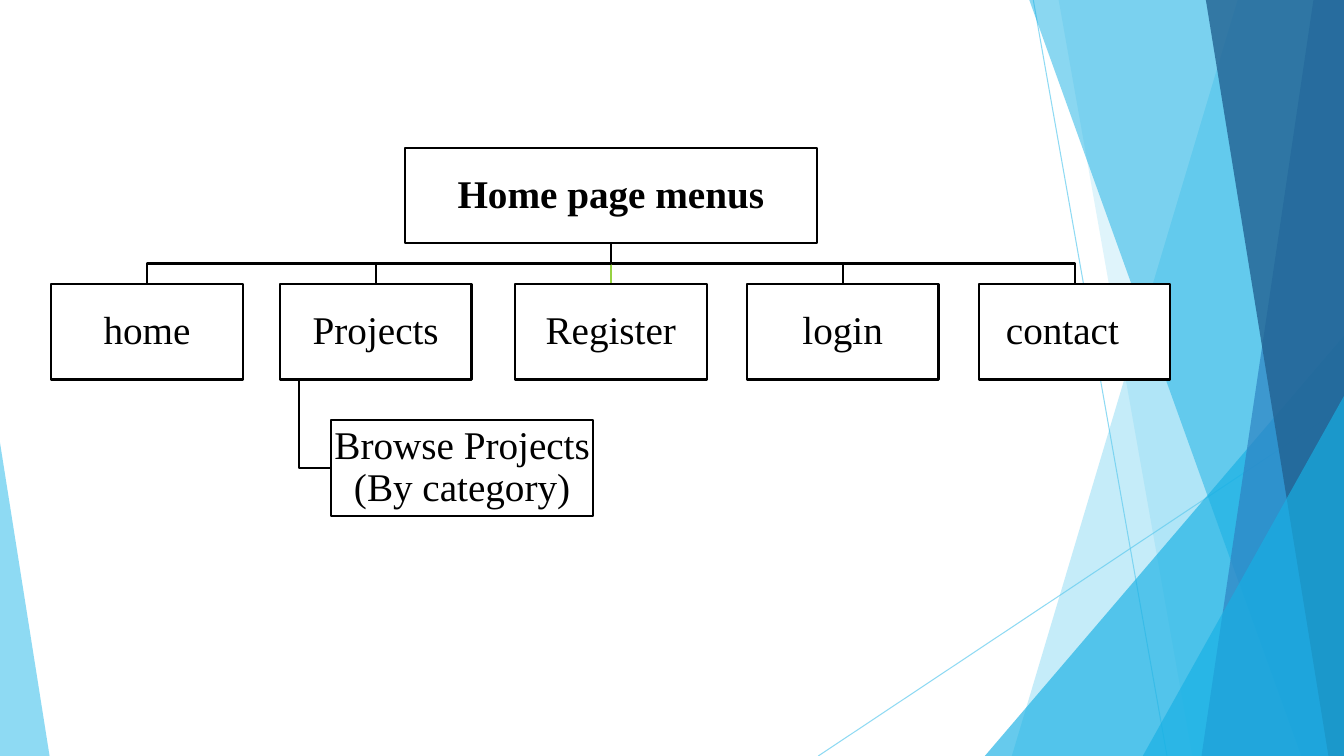
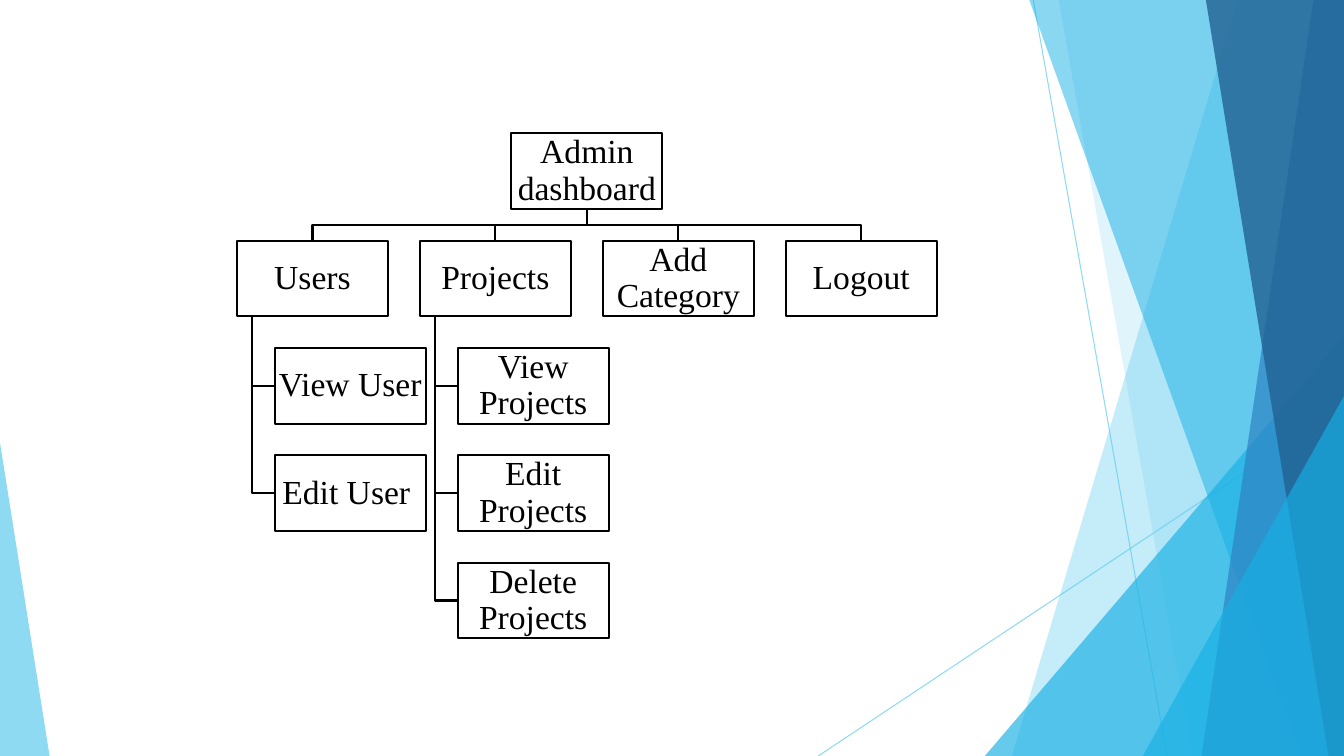
from dataclasses import dataclass

import pptx
import pptx.dml.color
import pptx.enum.shapes
import pptx.enum.text
import pptx.oxml.ns
import pptx.util
from lxml import etree

Cm = pptx.util.Cm
Pt = pptx.util.Pt
RGBColor = pptx.dml.color.RGBColor
SHAPE = pptx.enum.shapes.MSO_SHAPE
STRAIGHT = pptx.enum.shapes.MSO_CONNECTOR.STRAIGHT
qn = pptx.oxml.ns.qn

BLACK = RGBColor(0x00, 0x00, 0x00)
WHITE = RGBColor(0xFF, 0xFF, 0xFF)
GREEN = RGBColor(0x96, 0xD1, 0x41)
SKY = RGBColor(0x5F, 0xCB, 0xEF)
CYAN = RGBColor(0x17, 0xB0, 0xE4)
BLUE = RGBColor(0x2E, 0x83, 0xC3)
NAVY = RGBColor(0x22, 0x62, 0x92)

FONT = "Times New Roman"
PAGE_WIDTH, PAGE_HEIGHT = Cm(33.87), Cm(19.05)
TOP, BOTTOM = 0, 2  # connection sites of a rectangle
INSET = Cm(0.05)


@dataclass
class Leaf:
    label: str
    text_shift: float = 0  # cm, extra inset on the right


@dataclass
class Branch:
    label: str
    leaves: tuple = ()
    nudge: float = 0  # cm, moves the box but not its leaves
    text_shift: float = 0


@dataclass
class Tree:
    root: str
    branches: tuple
    box_width: float
    root_width: float
    leaf_width: float
    font_size: int
    root_bold: bool = False


def set_opacity(shape, percent):
    color = shape.element.spPr.find(".//" + qn("a:srgbClr"))
    etree.SubElement(color, qn("a:alpha")).set("val", str(percent * 1000))


def send_to_back(page, shape):
    page.shapes.element.insert(2, shape.element)


def set_line(shape, color, width=1.5):
    shape.line.color.rgb = color
    shape.line.width = Pt(width)


def add_line(page, start, end, color, width=1.5):
    line = page.shapes.add_connector(STRAIGHT, *start, *end)
    set_line(line, color, width)
    etree.SubElement(line.element.spPr, qn("a:effectLst"))
    return line


def add_elbow(page, *points):
    """Draw a bent line behind the boxes it links."""
    outline = page.shapes.build_freeform(*points[0], scale=1.0)
    outline.add_line_segments(points[1:], close=False)
    elbow = outline.convert_to_shape()
    elbow.shadow.inherit = False
    elbow.fill.background()
    set_line(elbow, BLACK)
    send_to_back(page, elbow)


def tint(shape, color, opacity):
    shape.shadow.inherit = False
    shape.line.fill.background()
    shape.fill.solid()
    shape.fill.fore_color.rgb = color
    set_opacity(shape, opacity)


def add_band(page, top_x, bottom_x, color, opacity):
    """Fill from a slanted left edge to the right edge of the page."""
    outline = page.shapes.build_freeform(Cm(top_x), 0, scale=1.0)
    outline.add_line_segments([(PAGE_WIDTH, 0), (PAGE_WIDTH, PAGE_HEIGHT),
                               (Cm(bottom_x), PAGE_HEIGHT)], close=True)
    tint(outline.convert_to_shape(), color, opacity)


def add_corner(page, left, top, width, apex, color, opacity):
    """Stand a right triangle on the bottom edge of the page."""
    corner = page.shapes.add_shape(SHAPE.ISOSCELES_TRIANGLE, Cm(left), Cm(top),
                                   Cm(width), PAGE_HEIGHT - Cm(top))
    corner.adjustments[0] = apex
    tint(corner, color, opacity)


def draw_backdrop(page):
    for start, end in (((26.04, 0), (29.41, 19.05)), ((33.87, 10.24), (20.62, 19.05))):
        line = add_line(page, map(Cm, start), map(Cm, end), SKY, 0.75)
        set_opacity(line, 70)
    add_band(page, 31.19, 25.5, SKY, 36)
    add_band(page, 26.68, 30.05, SKY, 20)
    add_corner(page, 24.82, 8.46, 9.05, 1, CYAN, 66)
    add_band(page, 25.94, 32.79, CYAN, 50)
    add_band(page, 33.1, 30.28, BLUE, 70)
    add_band(page, 30.39, 33.48, NAVY, 80)
    add_corner(page, 28.8, 9.98, 5.07, 1, CYAN, 66)
    add_corner(page, 0, 11.15, 1.25, 0, SKY, 70)


def move_to_layout(page, layout):
    for shape in list(page.shapes):
        layout.shapes.element.append(shape.element)


def add_box(page, label, left, top, width, height, font_size, bold=False, text_shift=0):
    box = page.shapes.add_shape(SHAPE.RECTANGLE, left, top, width, height)
    box.shadow.inherit = False
    box.fill.solid()
    box.fill.fore_color.rgb = WHITE
    set_line(box, BLACK)
    frame = box.text_frame
    frame.word_wrap = True
    frame.vertical_anchor = pptx.enum.text.MSO_ANCHOR.MIDDLE
    frame.margin_left = frame.margin_top = frame.margin_bottom = INSET
    frame.margin_right = INSET + Cm(text_shift)
    para = frame.paragraphs[0]
    para.text = label
    para.alignment = pptx.enum.text.PP_ALIGN.CENTER
    para.line_spacing = 0.9
    para.font.name = FONT
    para.font.size = Pt(font_size)
    para.font.bold = bold
    para.font.color.rgb = BLACK
    return box


def join_to_root(page, root, box):
    """Link a branch to the root: straight when right below it, else bent."""
    root_x, root_y = root.left + root.width // 2, root.top + root.height
    box_x = box.left + box.width // 2
    if abs(box_x - root_x) < Cm(0.1):
        line = add_line(page, (root_x, root_y), (box_x, box.top), GREEN)
        line.begin_connect(root, BOTTOM)
        line.end_connect(box, TOP)
        send_to_back(page, line)
    else:
        bus_y = (root_y + box.top) // 2
        add_elbow(page, (root_x, root_y), (root_x, bus_y), (box_x, bus_y), (box_x, box.top))


def draw_leaves(page, tree, branch, parent, left, top, row_step):
    """Hang a column of leaves on a stem below their parent box."""
    stem_x = parent.left + parent.width // 10
    for row, leaf in enumerate(branch.leaves):
        box = add_box(page, leaf.label, left, top + row * row_step, Cm(tree.leaf_width),
                      parent.height, tree.font_size, text_shift=leaf.text_shift)
        middle = box.top + box.height // 2
        add_elbow(page, (stem_x, parent.top + parent.height), (stem_x, middle),
                  (box.left, middle))


def draw_tree(page, tree, left, top):
    """Draw an organisation chart whose gaps all follow from the box width."""
    width = Cm(tree.box_width)
    height = width // 2
    gap = int(width * 0.21)
    column_step, row_step = width + gap, height + gap
    center = left + (column_step * (len(tree.branches) - 1) + width) // 2
    root_width = Cm(tree.root_width)
    root = add_box(page, tree.root, center - root_width // 2, top, root_width, height,
                   tree.font_size, tree.root_bold)
    for column, branch in enumerate(tree.branches):
        slot = left + column * column_step
        box = add_box(page, branch.label, slot + Cm(branch.nudge), top + row_step, width,
                      height, tree.font_size, text_shift=branch.text_shift)
        join_to_root(page, root, box)
        draw_leaves(page, tree, branch, box, slot + width // 4, top + 2 * row_step, row_step)


HOME_MENUS = Tree(
    "Home page menus",
    (Branch("home"),
     Branch("Projects", (Leaf("Browse Projects (By category)"),), nudge=-0.08),
     Branch("Register"),
     Branch("login"),
     Branch("contact", text_shift=0.61)),
    box_width=4.83, root_width=10.38, leaf_width=6.61, font_size=28, root_bold=True)

ADMIN_DASHBOARD = Tree(
    "Admin dashboard",
    (Branch("Users", (Leaf("View User"), Leaf("Edit User", text_shift=0.2))),
     Branch("Projects", (Leaf("View Projects"), Leaf("Edit Projects"),
                         Leaf("Delete Projects"))),
     Branch("Add Category"),
     Branch("Logout")),
    box_width=3.81, root_width=3.81, leaf_width=3.81, font_size=24)


def main():
    deck = pptx.Presentation()
    deck.slide_width, deck.slide_height = PAGE_WIDTH, PAGE_HEIGHT
    layout = deck.slide_layouts.get_by_name("Blank")
    home, admin = (deck.slides.add_slide(layout) for _ in range(2))
    draw_backdrop(home)
    move_to_layout(home, layout)
    draw_tree(home, HOME_MENUS, Cm(1.29), Cm(3.72))
    draw_tree(admin, ADMIN_DASHBOARD, Cm(5.97), Cm(3.36))
    deck.save("out.pptx")


if __name__ == "__main__":
    main()
